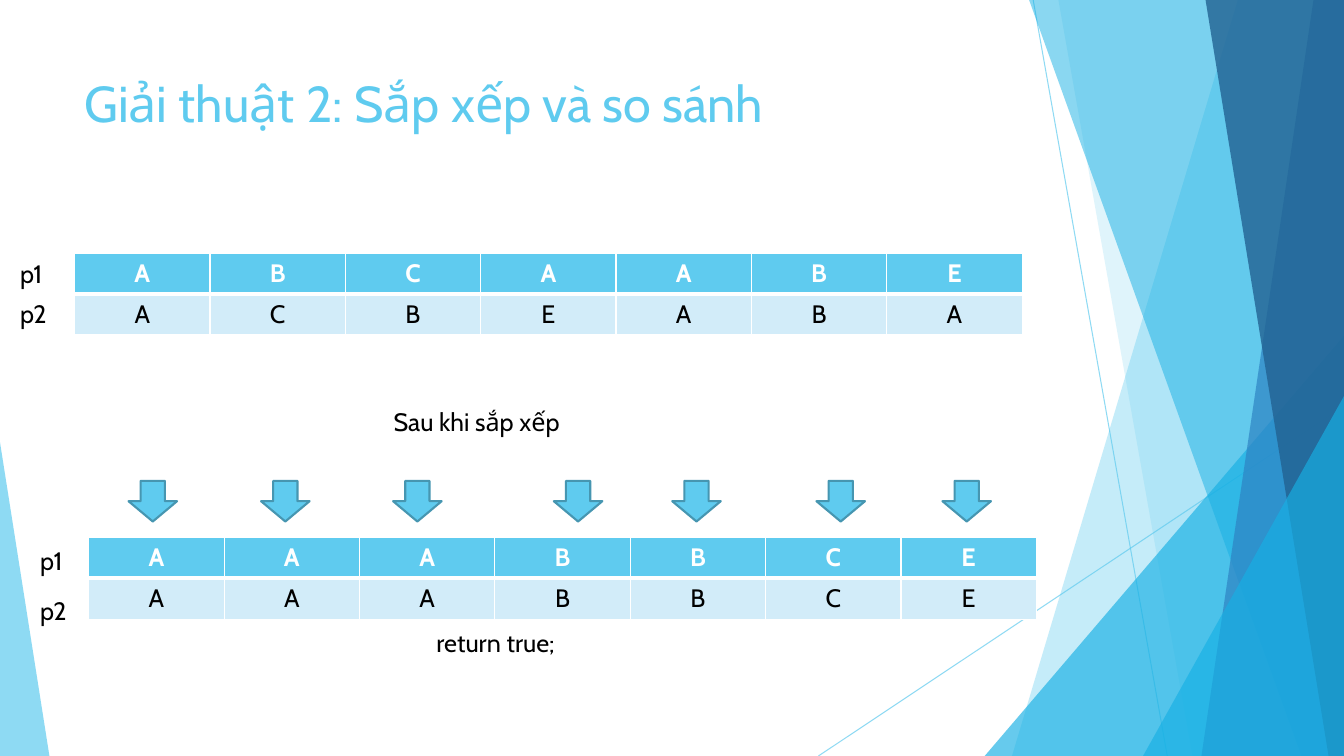
from dataclasses import dataclass

import pptx
import pptx.dml.color
import pptx.enum.shapes
import pptx.enum.text
import pptx.oxml
import pptx.oxml.ns
import pptx.util

Pt = pptx.util.Pt
Preset = pptx.enum.shapes.MSO_SHAPE
Align = pptx.enum.text.PP_ALIGN


@dataclass(frozen=True)
class Theme:
    font: str = "Cabin"
    title_size: float = 36
    body_size: float = 18
    sky: str = "5FCBEF"
    azure: str = "17B0E4"
    blue: str = "2E83C3"
    navy: str = "226292"
    pale: str = "D2ECF9"
    outline: str = "4696B1"
    text: str = "000000"
    white: str = "FFFFFF"


@dataclass(frozen=True)
class Ray:
    """Thin line of the backdrop."""
    x1: float
    y1: float
    x2: float
    y2: float


@dataclass(frozen=True)
class Band:
    """Slanted panel that reaches the right edge of the slide."""
    top_x: float
    bottom_x: float
    color: str
    opacity: int


@dataclass(frozen=True)
class Wedge:
    """Triangle standing on the bottom edge of the slide."""
    left: float
    top: float
    width: float
    apex: float
    color: str
    opacity: int


@dataclass(frozen=True)
class Label:
    text: str
    left: float
    top: float
    width: float
    height: float = 29
    size: float = Theme.body_size
    color: str = Theme.text


@dataclass(frozen=True)
class Grid:
    left: float
    top: float
    rows: tuple[str, str]


THEME = Theme()
WIDTH, HEIGHT = 960, 540
COLUMN_WIDTH, ROW_HEIGHT = 96.7, 29.2
ARROW_TOP, ARROW_WIDTH, ARROW_HEIGHT = 343.5, 34.7, 29

RAYS = [Ray(738, 0, 833.8, HEIGHT), Ray(WIDTH, 290, 584.6, HEIGHT)]
PANELS = [
    Band(884.2, 722.9, THEME.sky, 36),
    Band(756, 851.8, THEME.sky, 20),
    Wedge(703.4, 239.8, 256.6, 1, THEME.azure, 66),
    Band(735.1, 929.5, THEME.azure, 50),
    Band(938.2, 858.2, THEME.blue, 70),
    Band(861.1, 949, THEME.navy, 80),
    Wedge(816.5, 283, 143.5, 1, THEME.azure, 66),
    Wedge(0, 316, 35.3, 0, THEME.sky, 70),
]
GRIDS = [
    Grid(53.3, 180.9, ("ABCAABE", "ACBEABA")),
    Grid(63.4, 383.9, ("AAABBCE", "AAABBCE")),
]
ARROW_LEFTS = [91.8, 186.5, 280.8, 395.6, 480.2, 583.2, 673.2]
LABELS = [
    Label("Giải thuật 2: Sắp xếp và so sánh", 53.3, 48, 677, 104, THEME.title_size, THEME.sky),
    Label("p1", 7.2, 181, 39.6),
    Label("p2", 7.2, 209.8, 39.6),
    Label("Sau khi sắp xếp", 274, 286.8, 152.6),
    Label("p1", 21.6, 386.2, 39.6),
    Label("p2", 21.6, 422, 39.6),
    Label("return true;", 304.6, 444.4, 254),
]


def rgb(color: str) -> pptx.dml.color.RGBColor:
    return pptx.dml.color.RGBColor.from_string(color)


def set_opacity(shape, percent: int) -> None:
    for color in shape.element.spPr.xpath(".//a:srgbClr"):
        alpha = pptx.oxml.parse_xml(f'<a:alpha {pptx.oxml.ns.nsdecls("a")} val="{percent * 1000}"/>')
        color.append(alpha)


def paint(shape, color: str) -> None:
    shape.shadow.inherit = False
    shape.fill.solid()
    shape.fill.fore_color.rgb = rgb(color)
    shape.line.fill.background()


def add_span(para, text: str, size: float, color: str, bold: bool = False) -> None:
    span = para.add_run()
    span.text = text
    span.font.name = THEME.font
    span.font.size = Pt(size)
    span.font.bold = bold
    span.font.color.rgb = rgb(color)


def draw_ray(page, ray: Ray) -> None:
    line = page.shapes.add_connector(
        pptx.enum.shapes.MSO_CONNECTOR.STRAIGHT, Pt(ray.x1), Pt(ray.y1), Pt(ray.x2), Pt(ray.y2))
    line.line.color.rgb = rgb(THEME.sky)
    line.line.width = Pt(0.75)
    set_opacity(line, 70)
    line.element.spPr.append(pptx.oxml.parse_xml(f'<a:effectLst {pptx.oxml.ns.nsdecls("a")}/>'))


def draw_panel(page, panel: Band | Wedge) -> None:
    if isinstance(panel, Band):
        outline = page.shapes.build_freeform(Pt(panel.top_x), Pt(0))
        corners = [(WIDTH, 0), (WIDTH, HEIGHT), (panel.bottom_x, HEIGHT)]
        outline.add_line_segments([(Pt(x), Pt(y)) for x, y in corners], close=True)
        shape = outline.convert_to_shape()
    else:
        shape = page.shapes.add_shape(
            Preset.ISOSCELES_TRIANGLE, Pt(panel.left), Pt(panel.top),
            Pt(panel.width), Pt(HEIGHT - panel.top))
        shape.adjustments[0] = panel.apex
    paint(shape, panel.color)
    set_opacity(shape, panel.opacity)


def draw_label(page, label: Label) -> None:
    box = page.shapes.add_textbox(Pt(label.left), Pt(label.top), Pt(label.width), Pt(label.height))
    box.text_frame.word_wrap = True
    add_span(box.text_frame.paragraphs[0], label.text, label.size, label.color)


def set_borders(cell, widths: dict[str, float]) -> None:
    properties = cell._tc.get_or_add_tcPr()
    for side, width in widths.items():
        properties.append(pptx.oxml.parse_xml(
            f'<a:ln{side} {pptx.oxml.ns.nsdecls("a")} w="{Pt(width)}"><a:solidFill>'
            f'<a:srgbClr val="{THEME.white}"/></a:solidFill></a:ln{side}>'))


def draw_grid(page, grid: Grid) -> None:
    columns = len(grid.rows[0])
    table = page.shapes.add_table(
        len(grid.rows), columns, Pt(grid.left), Pt(grid.top),
        Pt(COLUMN_WIDTH * columns), Pt(ROW_HEIGHT * len(grid.rows))).table
    for column in table.columns:
        column.width = Pt(COLUMN_WIDTH)
    for row_index, letters in enumerate(grid.rows):
        header = row_index == 0
        table.rows[row_index].height = Pt(ROW_HEIGHT)
        for column_index, letter in enumerate(letters):
            cell = table.cell(row_index, column_index)
            # A thick rule separates the header from the body
            set_borders(cell, {"L": 1, "R": 1, "T": 1 if header else 3, "B": 3 if header else 1})
            cell.fill.solid()
            cell.fill.fore_color.rgb = rgb(THEME.sky if header else THEME.pale)
            para = cell.text_frame.paragraphs[0]
            para.alignment = Align.CENTER
            add_span(para, letter, THEME.body_size, THEME.white if header else THEME.text, header)


def draw_arrow(page, left: float) -> None:
    arrow = page.shapes.add_shape(
        Preset.DOWN_ARROW, Pt(left), Pt(ARROW_TOP), Pt(ARROW_WIDTH), Pt(ARROW_HEIGHT))
    paint(arrow, THEME.sky)
    arrow.line.color.rgb = rgb(THEME.outline)
    arrow.line.width = Pt(1.5)


def main() -> None:
    deck = pptx.Presentation()
    deck.slide_width, deck.slide_height = Pt(WIDTH), Pt(HEIGHT)
    page = deck.slides.add_slide(deck.slide_layouts[6])
    # Backdrop
    for ray in RAYS:
        draw_ray(page, ray)
    for panel in PANELS:
        draw_panel(page, panel)
    # Letters before and after sorting
    for grid in GRIDS:
        draw_grid(page, grid)
    for left in ARROW_LEFTS:
        draw_arrow(page, left)
    # Title and captions
    for label in LABELS:
        draw_label(page, label)
    deck.save("out.pptx")


if __name__ == "__main__":
    main()
